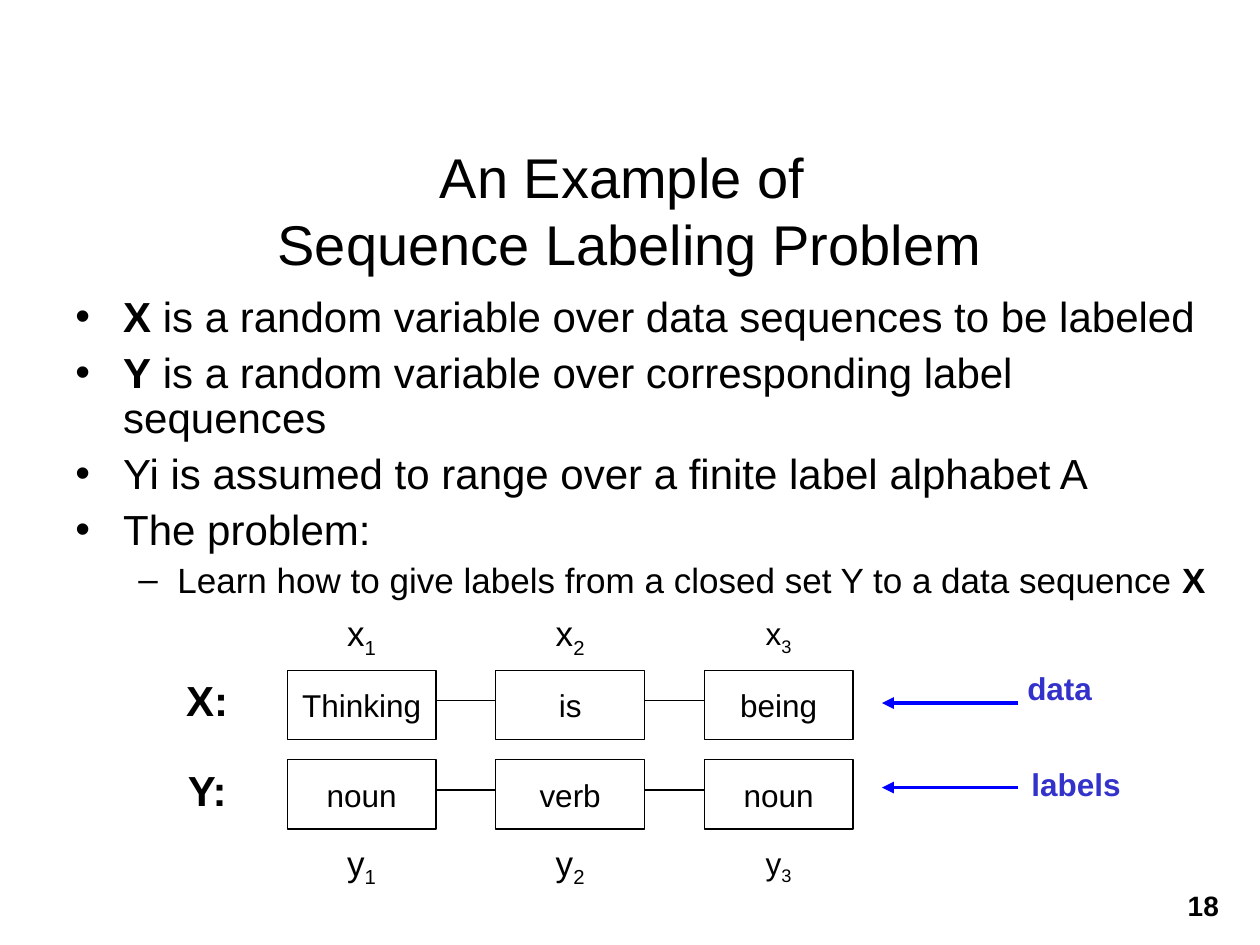
"""Slide that explains sequence labeling with a chain of words and a chain of labels."""
from lxml import etree
from pptx import Presentation, util as u
from pptx.dml.color import RGBColor
from pptx.enum import shapes, text
from pptx.oxml.ns import qn

BLACK = RGBColor(0, 0, 0)
BLUE = RGBColor(0, 0, 255)
NAVY = RGBColor(0x33, 0x33, 0xCC)

TITLE = ("An Example of ", "Sequence Labeling Problem")
POINTS = [
    (0, [("X", "bold"), (" is a random variable over data sequences to be labeled", "")]),
    (0, [("Y", "bold"), (" is a random variable over corresponding label sequences", "")]),
    (0, [("Yi is assumed to range over a finite label alphabet A", "")]),
    (0, [("The problem:", "")]),
    (1, [("Learn how to give labels from a closed set Y to a data sequence", ""), (" X", "bold")]),
]
LEVELS = [("•", 24, 0.38, 0.38, 6), ("–", 20, 0.81, 0.31, 5)]
CHAINS = [
    ("X:", "x", ["Thinking", "is", "being"], 5.32, 4.77),
    ("Y:", "y", ["noun", "verb", "noun"], 6.03, 6.59),
]
NOTES = [("data", 5.58, (7.12, 5.26, 2.58, 0.5)), ("labels", 6.25, (7.25, 6.02, 2.58, 0.4))]
LEFT, STEP, WIDE, HIGH = 2.28, 1.655, 1.18, 0.55

deck = Presentation()
deck.slide_width, deck.slide_height = u.Inches(10), u.Inches(7.5)
slide = deck.slides.add_slide(deck.slide_layouts[6])


def write(para, runs, size=18, color=BLACK, bold=False, align=text.PP_ALIGN.CENTER):
    """Fill a paragraph with (text, mark) runs in one format."""
    para.alignment = align
    for words, mark in runs:
        run = para.add_run()
        run.text = words
        font = run.font
        font.name, font.size = "Arial", u.Pt(size)
        font.bold = bold or mark == "bold"
        font.color.rgb = color
        if mark == "sub":
            font._element.set("baseline", "-25000")


def frame(area, wrap=True, middle=False, boxed=False):
    """Add a text box or an outlined rectangle and return its text frame."""
    place = [u.Inches(n) for n in area]
    if boxed:
        item = slide.shapes.add_shape(shapes.MSO_SHAPE.RECTANGLE, *place)
        item.shadow.inherit = False
        item.fill.background()
        item.line.color.rgb, item.line.width = BLACK, u.Pt(0.75)
    else:
        item = slide.shapes.add_textbox(*place)
    body = item.text_frame
    body.word_wrap = wrap
    body.vertical_anchor = text.MSO_ANCHOR.MIDDLE if middle else text.MSO_ANCHOR.TOP
    return body


def label(area, runs, wrap=False, middle=True, boxed=False, **fmt):
    """Add one line of text."""
    write(frame(area, wrap, middle, boxed).paragraphs[0], runs, **fmt)


def link(start, end, y, color=BLACK, width=0.75, arrow=False):
    """Draw a level line, with an arrowhead at its end if asked."""
    ends = [u.Inches(n) for n in (start, y, end, y)]
    line = slide.shapes.add_connector(shapes.MSO_CONNECTOR.STRAIGHT, *ends)
    line.line.color.rgb, line.line.width = color, u.Pt(width)
    if arrow:
        etree.SubElement(line.line._get_or_add_ln(), qn("a:tailEnd"), type="triangle")
    etree.SubElement(line._element.spPr, qn("a:effectLst"))


def bullet(para, level, runs):
    """Write one bulleted point."""
    sign, size, left, hang, gap = LEVELS[level]
    para.level, para.line_spacing, para.space_before = level, 0.9, u.Pt(gap)
    props = para._p.get_or_add_pPr()
    props.set("marL", str(u.Inches(left)))
    props.set("indent", str(-u.Inches(hang)))
    etree.SubElement(props, qn("a:buFont"), typeface="Arial")
    etree.SubElement(props, qn("a:buChar"), char=sign)
    write(para, runs, size=size, align=text.PP_ALIGN.LEFT)


label((9.25, 7, 0.6, 0.37), [("18", "")], wrap=True, middle=False, size=16, bold=True)

head = frame((0.75, 1.33, 8.5, 0.67), middle=True).paragraphs[0]
write(head, [(TITLE[0], "")], size=32)
head.add_line_break()
write(head, [(TITLE[1], "")], size=32)

body = frame((0.5, 2.3, 9.33, 2.62))
for i, (level, runs) in enumerate(POINTS):
    bullet(body.add_paragraph() if i else body.paragraphs[0], level, runs)

for name, sign, words, top, row in CHAINS:
    label((1.33, top, 0.63, 0.47), [(name, "")], size=24, bold=True)
    for i, word in enumerate(words):
        x = LEFT + i * STEP
        last = i == len(words) - 1
        label((x, top, WIDE, HIGH), [(word, "")], boxed=True)
        label((x, row, WIDE, HIGH), [(sign, ""), (str(i + 1), "sub")], size=18 if last else 20)
        if not last:
            link(x + WIDE, x + STEP, top + 0.24)

for word, y, area in NOTES:
    link(8.08, 7, y, color=BLUE, width=2.25, arrow=True)
    label(area, [(word, "")], wrap=True, middle=False, color=NAVY, bold=True)

deck.save("out.pptx")
